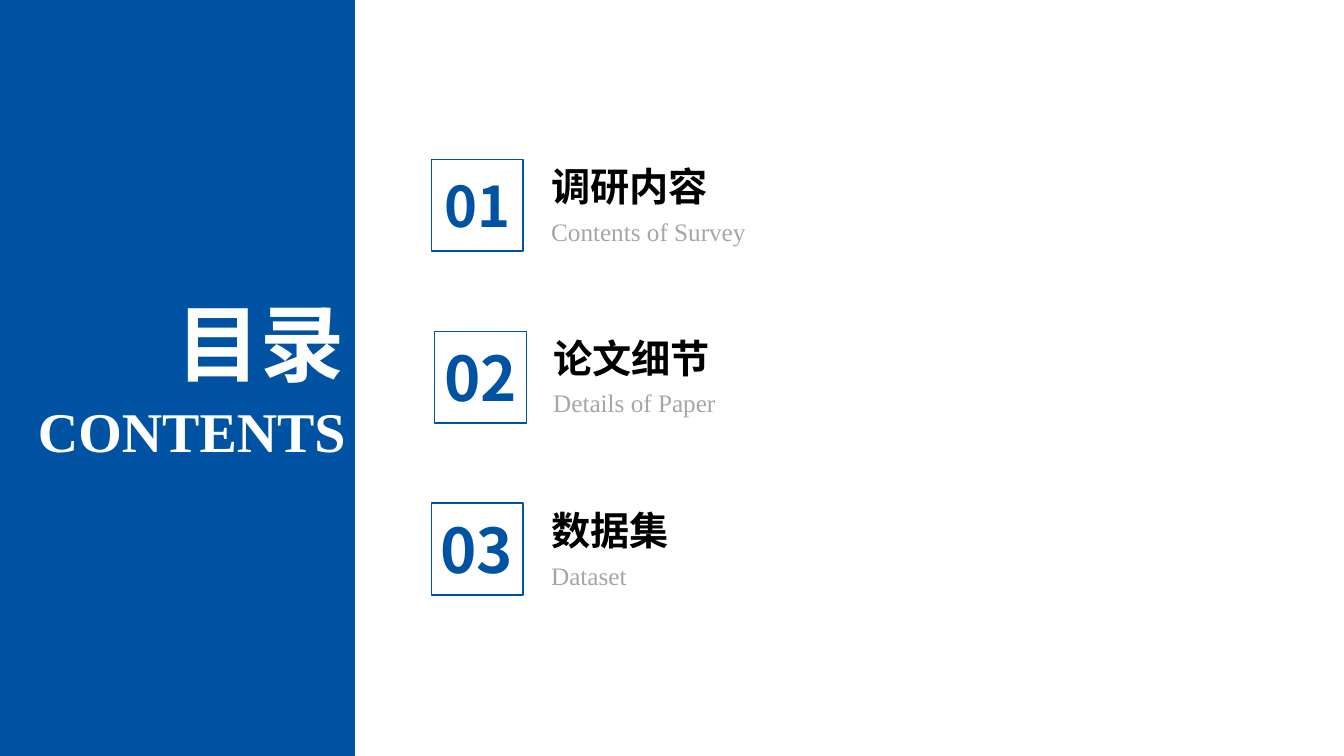
from pptx import Presentation
from pptx.dml.color import RGBColor
from pptx.enum.shapes import MSO_SHAPE
from pptx.enum.text import MSO_ANCHOR, MSO_AUTO_SIZE, PP_ALIGN
from pptx.oxml.ns import qn
from pptx.util import Pt
from lxml.etree import SubElement

BLUE, WHITE, BLACK, GREY = "0053A3", "FFFFFF", "000000", "A6A6A6"
SANS, SERIF = "Noto Sans CJK SC", "Times New Roman"
LEFT, MID, RIGHT = PP_ALIGN.LEFT, PP_ALIGN.CENTER, PP_ALIGN.RIGHT

deck = Presentation()
deck.slide_width, deck.slide_height = Pt(960), Pt(540)
slide = deck.slides.add_slide(deck.slide_layouts[5])
shapes = slide.shapes


def write(box, place, text, size, face, color, bold=True, align=LEFT):
    """Place a text shape and set its one paragraph, East Asian font included."""
    box.left, box.top, box.width, box.height = [Pt(n) for n in place]
    frame = box.text_frame
    frame.word_wrap = True
    frame.auto_size = MSO_AUTO_SIZE.SHAPE_TO_FIT_TEXT
    frame.vertical_anchor = MSO_ANCHOR.TOP
    frame.text = text
    para = frame.paragraphs[0]
    para.alignment = align
    font = para.font
    font.size, font.name, font.bold = Pt(size), face, bold
    font.color.rgb = RGBColor.from_string(color)
    props = para._p.pPr.find(qn("a:defRPr"))
    SubElement(props, qn("a:ea")).set("typeface", face)


def frame_box(x, y, wide, high):
    box = shapes.add_shape(MSO_SHAPE.RECTANGLE, Pt(x), Pt(y), Pt(wide), Pt(high))
    box.shadow.inherit = False
    return box


# Side panel with the title
panel = frame_box(0, 0, 253.5, 540)
panel.fill.solid()
panel.fill.fore_color.rgb = RGBColor.from_string(BLUE)
panel.line.fill.background()
title = shapes.title
shapes._spTree.append(title._element)  # bring the title in front of the panel
write(title, (70.5, 204.5, 183, 80), "目录", 60, SANS, WHITE, align=RIGHT)
label = shapes.add_textbox(0, 0, 0, 0)
write(label, (0, 280, 254, 55.5), "CONTENTS", 40, SERIF, WHITE, align=RIGHT)

# Chapters: heading, subtitle, number size, box left and top, text left, subtitle drop
SIDE = 65.5
chapters = [
    ("调研内容", "Contents of Survey", 40, 308, 113.8, 386.6, 37.5),
    ("论文细节", "Details of Paper", 44, 310.5, 236.6, 388.1, 36.3),
    ("数据集", "Dataset", 44, 308, 359.4, 386.6, 37.3),
]
for count, (head, sub, size, x, y, col, drop) in enumerate(chapters, 1):
    write(shapes.add_textbox(0, 0, 0, 0), (col, y - 1.4, 188.6, 41),
          head, 28, SANS, BLACK)
    write(shapes.add_textbox(0, 0, 0, 0), (col, y + drop, 188.6, 29),
          sub, 18, SERIF, GREY, bold=False)
    wide, high = size * 1.6, size * 1.2 + 7.2
    place = (x + (SIDE - wide) / 2, y + (SIDE - high) / 2, wide, high)
    write(shapes.add_textbox(0, 0, 0, 0), place, f"{count:02}", size, SANS, BLUE, align=MID)
    square = frame_box(x, y, SIDE, SIDE)
    square.fill.background()
    square.line.color.rgb = RGBColor.from_string(BLUE)
    square.line.width = Pt(1)

deck.save("out.pptx")
